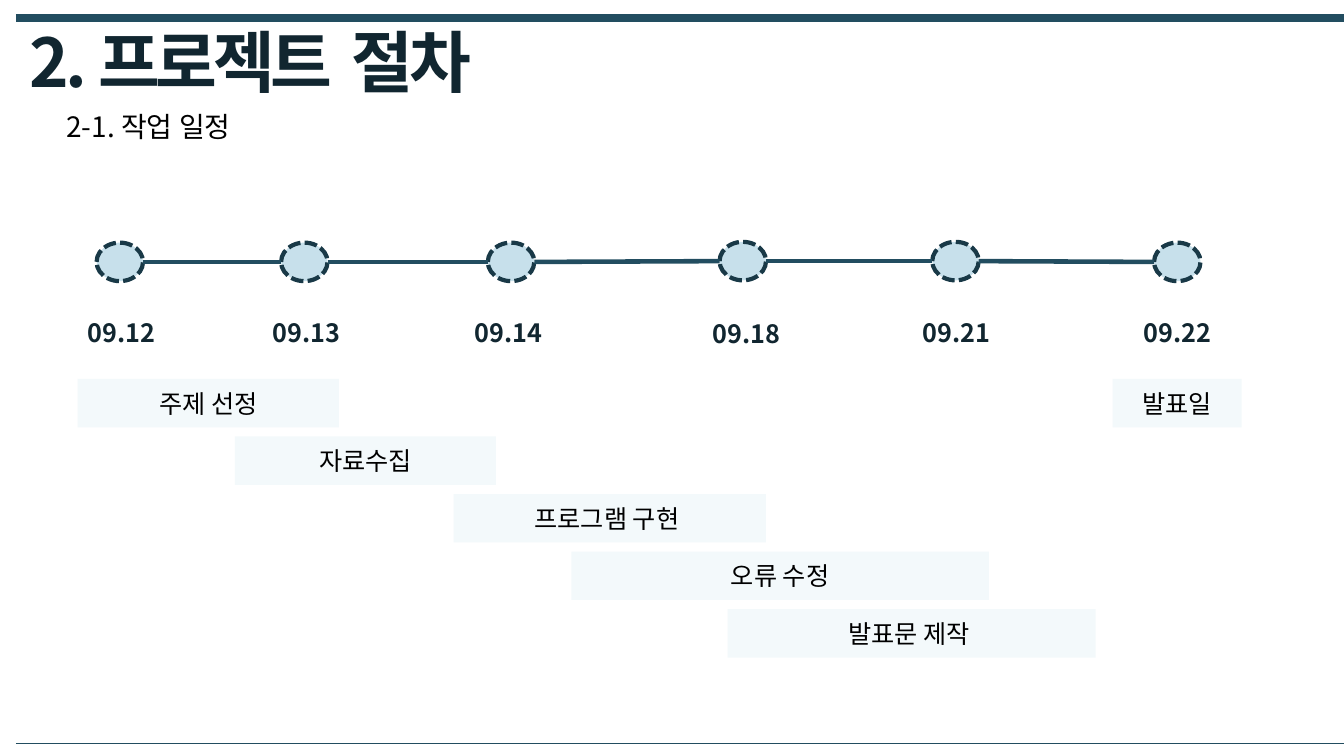
from typing import NamedTuple

from lxml.etree import SubElement
from pptx import Presentation
from pptx.dml.color import RGBColor
from pptx.enum.dml import MSO_LINE
from pptx.enum.shapes import MSO_CONNECTOR, MSO_SHAPE
from pptx.enum.text import MSO_ANCHOR, MSO_AUTO_SIZE, PP_ALIGN
from pptx.oxml.ns import qn
from pptx.util import Cm, Pt

HUES = {"line": "224D60", "edge": "193947", "dot": "C7E0EB",
        "bar": "F3F9FB", "dark": "112630", "text": "000000"}
FACE = "Noto Sans CJK KR"
DOT_W, DOT_H = 1.17, 0.97
DATE_W, DATE_H = 2.26, 1.02
BAR_TOP, BAR_H, BAR_STEP = 9.55, 1.22, 1.45


class Stop(NamedTuple):
    date: str
    mid: float       # centre of the dot
    level: float     # height of the time line
    date_mid: float  # centre of the date
    date_top: float


class Task(NamedTuple):
    name: str
    row: int
    left: float
    width: float


STOPS = [
    Stop("09.12", 3.02, 6.6, 3.07, 7.87),
    Stop("09.13", 7.67, 6.6, 7.72, 7.87),
    Stop("09.14", 12.88, 6.6, 12.81, 7.87),
    Stop("09.18", 18.72, 6.58, 18.81, 7.9),
    Stop("09.21", 24.08, 6.58, 24.1, 7.87),
    Stop("09.22", 29.67, 6.6, 29.68, 7.87),
]
TASKS = [
    Task("주제 선정", 0, 1.96, 6.58),
    Task("자료수집", 1, 5.92, 6.58),
    Task("프로그램 구현 ", 2, 11.43, 7.87),
    Task("오류 수정", 3, 14.4, 10.52),
    Task("발표문 제작 ", 4, 18.34, 9.27),
    Task("발표일", 0, 28.04, 3.25),
]


def hue(name: str) -> RGBColor:
    return RGBColor.from_string(HUES[name])


def add_run(par, text: str, size: float, color: str, bold: bool = False):
    run = par.add_run()
    run.text = text
    style = {"name": FACE, "size": Pt(size), "bold": bold}
    for key, value in style.items():
        setattr(run.font, key, value)
    run.font.color.rgb = hue(color)
    props = run.font._element
    SubElement(props, qn("a:ea")).set("typeface", FACE)
    return props


def set_frame(frame, wrap: bool, fit: MSO_AUTO_SIZE, anchor: MSO_ANCHOR) -> None:
    style = {"word_wrap": wrap, "auto_size": fit, "vertical_anchor": anchor}
    for key, value in style.items():
        setattr(frame, key, value)


def add_line(slide, start: tuple, end: tuple, width: float) -> None:
    ends = [Cm(value) for value in (*start, *end)]
    line = slide.shapes.add_connector(MSO_CONNECTOR.STRAIGHT, *ends)
    line.line.color.rgb = hue("line")
    line.line.width = Pt(width)
    SubElement(line._element.spPr, qn("a:effectLst"))


def add_block(slide, kind: MSO_SHAPE, box: tuple, color: str):
    block = slide.shapes.add_shape(kind, *(Cm(value) for value in box))
    block.shadow.inherit = False
    block.fill.solid()
    block.fill.fore_color.rgb = hue(color)
    return block


def add_label(slide, box: tuple, text: str, size: float, color: str,
              bold: bool = False, wrap: bool = True,
              align: PP_ALIGN = PP_ALIGN.LEFT) -> None:
    label = slide.shapes.add_textbox(*(Cm(value) for value in box))
    frame = label.text_frame
    set_frame(frame, wrap, MSO_AUTO_SIZE.SHAPE_TO_FIT_TEXT, MSO_ANCHOR.TOP)
    frame.paragraphs[0].alignment = align
    add_run(frame.paragraphs[0], text, size, color, bold)


def add_title(slide) -> None:
    title = slide.shapes.title
    place = {"left": 0.5, "top": -0.05, "width": 13.59, "height": 2.82}
    for key, value in place.items():
        setattr(title, key, Cm(value))
    frame = title.text_frame
    set_frame(frame, True, MSO_AUTO_SIZE.SHAPE_TO_FIT_TEXT, MSO_ANCHOR.TOP)
    par = frame.paragraphs[0]
    par.alignment = PP_ALIGN.LEFT
    for text, size in (("2. 프로젝트", 48), (" ", 60), ("절차", 48)):
        add_run(par, text, size, "dark", True).set("spc", "-300")


def add_stop(slide, stop: Stop) -> None:
    box = (stop.mid - DOT_W / 2, stop.level - DOT_H / 2, DOT_W, DOT_H)
    dot = add_block(slide, MSO_SHAPE.OVAL, box, "dot")
    dot.line.color.rgb = hue("edge")
    dot.line.width = Pt(3)
    dot.line.dash_style = MSO_LINE.SQUARE_DOT
    box = (stop.date_mid - DATE_W / 2, stop.date_top, DATE_W, DATE_H)
    add_label(slide, box, stop.date, 18, "dark", True, False, PP_ALIGN.CENTER)


def add_task(slide, task: Task) -> None:
    box = (task.left, BAR_TOP + task.row * BAR_STEP, task.width, BAR_H)
    bar = add_block(slide, MSO_SHAPE.RECTANGLE, box, "bar")
    bar.line.fill.background()
    set_frame(bar.text_frame, True, MSO_AUTO_SIZE.NONE, MSO_ANCHOR.MIDDLE)
    par = bar.text_frame.paragraphs[0]
    par.alignment = PP_ALIGN.CENTER
    add_run(par, task.name, 18, "text")


def main() -> None:
    deck = Presentation()
    deck.slide_width, deck.slide_height = Cm(33.87), Cm(19.05)
    slide = deck.slides.add_slide(deck.slide_layouts[5])

    # Frame lines and headings
    for top, width in ((0.46, 6), (18.72, 0.25)):
        add_line(slide, (0.4, top), (33.87, top), width)
    add_title(slide)
    add_label(slide, (1.42, 2.64, 7.8, 1.12), "2-1. 작업 일정", 20, "text")

    # Time line
    for stop in STOPS:
        add_stop(slide, stop)
    for one, two in zip(STOPS, STOPS[1:]):
        add_line(slide, (one.mid + DOT_W / 2, one.level),
                 (two.mid - DOT_W / 2, two.level), 3.25)

    # Task bars
    for task in TASKS:
        add_task(slide, task)

    deck.save("out.pptx")


if __name__ == "__main__":
    main()
